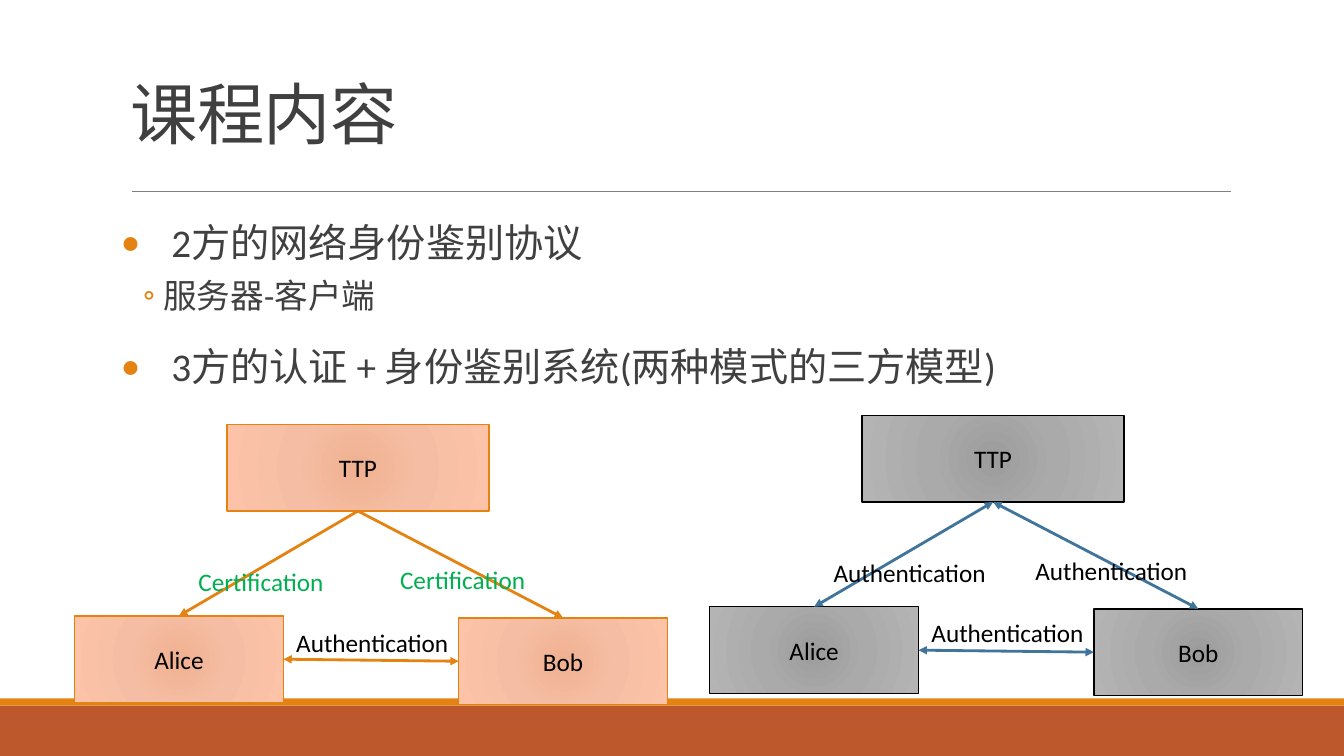
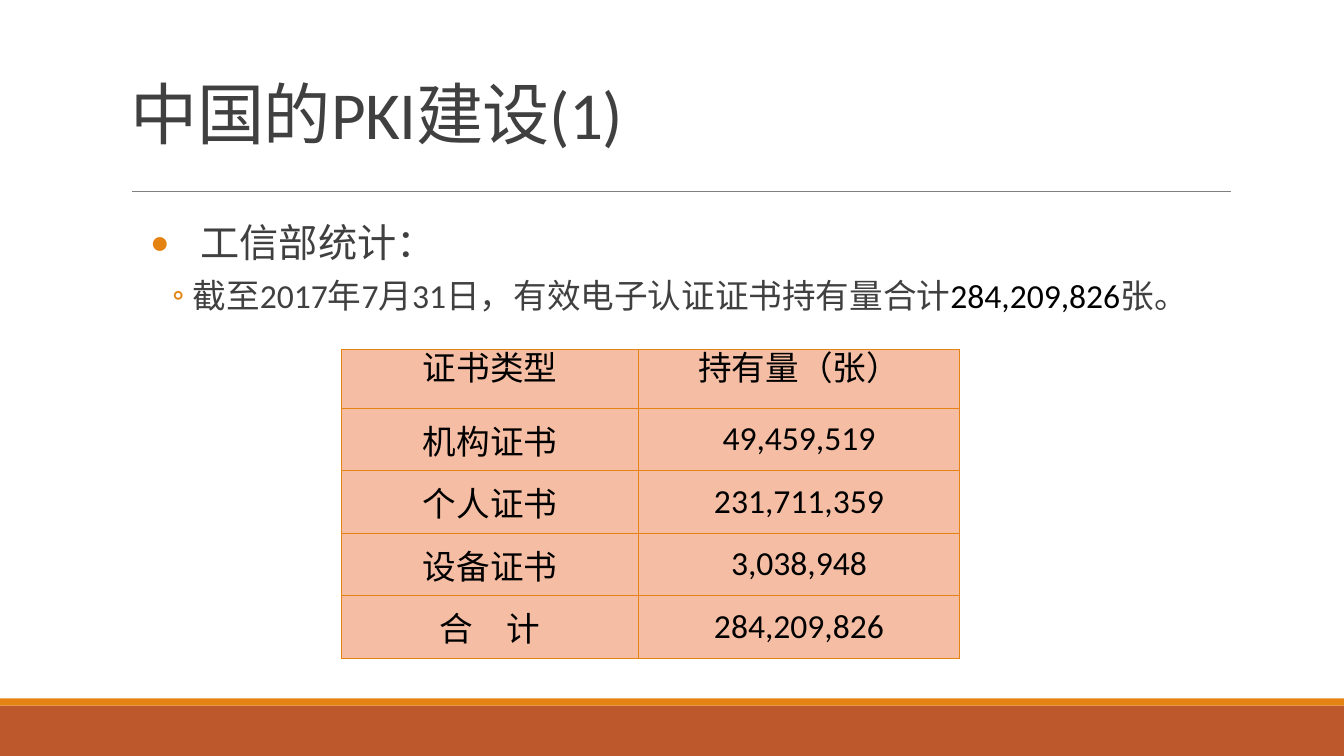
import lxml.etree
import pptx
import pptx.dml.color
import pptx.enum.shapes
import pptx.enum.text
import pptx.oxml.ns
import pptx.util

Inches = pptx.util.Inches
Pt = pptx.util.Pt
qn = pptx.oxml.ns.qn
RGB = pptx.dml.color.RGBColor.from_string
RECTANGLE = pptx.enum.shapes.MSO_SHAPE.RECTANGLE
STRAIGHT = pptx.enum.shapes.MSO_CONNECTOR.STRAIGHT
CENTER = pptx.enum.text.PP_ALIGN.CENTER
ANCHOR = pptx.enum.text.MSO_ANCHOR

COLORS = {
    "band": "BD582C", "accent": "E48312", "rule": "808080",
    "text": "404040", "black": "000000", "green": "00B050",
    "blue": "40749B", "cell": "F5BEA4",
}
BULLETS = [
    {"char": "•", "margin": 0.5, "indent": -0.5, "size": 28, "before": 12, "after": 2},
    {"char": "◦", "margin": 0.42, "indent": -0.2, "size": 24, "before": 2, "after": 4},
]


def add_xml(parent, tag, **attributes):
    return lxml.etree.SubElement(parent, qn("a:" + tag), attributes)


def write(paragraph, text, size=18, color="black", align=None, spacing=None, tracking=None):
    run = paragraph.add_run()
    run.text = text
    run.font.name = "Calibri"
    run.font.size = Pt(size)
    run.font.color.rgb = RGB(COLORS[color])
    if tracking is not None:
        run.font._element.set("spc", str(int(tracking * 100)))
    if align is not None:
        paragraph.alignment = align
    if spacing is not None:
        paragraph.line_spacing = spacing


deck = pptx.Presentation()
deck.slide_width = Inches(13.33)
deck.slide_height = Inches(7.5)

contents = [
    ("课程内容", 1.2, 11, [
        (0, [("2方的网络身份鉴别协议", "text")]),
        (1, [("服务器-客户端", "text")]),
        (0, [("3方的认证 + 身份鉴别系统(两种模式的三方模型)", "text")]),
    ]),
    ("中国的PKI建设(1)", 1.49, 10.44, [
        (0, [("工信部统计：", "text")]),
        (1, [("截至2017年7月31日，有效电子认证证书持有量合计", "text"),
             ("284,209,826", "black"), ("张。", "text")]),
    ]),
]

slides = []
for title, body_left, body_width, points in contents:
    slide = deck.slides.add_slide(deck.slide_layouts[6])
    slides.append(slide)

    for top, height, color in [(7, 0.5, "band"), (6.93, 0.07, "accent")]:
        band = slide.shapes.add_shape(RECTANGLE, 0, Inches(top), deck.slide_width, Inches(height))
        band.shadow.inherit = False
        band.fill.solid()
        band.fill.fore_color.rgb = RGB(COLORS[color])
        band.line.fill.background()

    rule = slide.shapes.add_connector(STRAIGHT, Inches(1.31), Inches(1.9), Inches(12.21), Inches(1.9))
    rule.line.color.rgb = RGB(COLORS["rule"])
    rule.line.width = Pt(0.5)
    add_xml(rule.element.spPr, "effectLst")

    heading = slide.shapes.add_textbox(Inches(1.2), Inches(0.31), Inches(11), Inches(1.26)).text_frame
    heading.word_wrap = True
    heading.vertical_anchor = ANCHOR.BOTTOM
    write(heading.paragraphs[0], title, size=48, color="text", spacing=0.85, tracking=-0.5)

    body = slide.shapes.add_textbox(Inches(body_left), Inches(2.07), Inches(body_width), Inches(4.4)).text_frame
    body.word_wrap = True
    body.margin_left = body.margin_right = 0
    for index, (level, runs) in enumerate(points):
        point = body.add_paragraph() if index else body.paragraphs[0]
        bullet = BULLETS[level]
        point.level = level
        properties = point._p.get_or_add_pPr()
        properties.set("marL", str(Inches(bullet["margin"])))
        properties.set("indent", str(Inches(bullet["indent"])))
        add_xml(add_xml(properties, "buClr"), "srgbClr", val=COLORS["accent"])
        add_xml(properties, "buFont", typeface="Calibri")
        add_xml(properties, "buChar", char=bullet["char"])
        if index:
            point.space_before = Pt(bullet["before"])
        point.space_after = Pt(bullet["after"])
        for text, color in runs:
            write(point, text, size=bullet["size"], color=color, spacing=1.1)

course, pki = slides

models = [
    {"left": 0.74, "top": 4.21, "stops": ["F0B191", "F5BEA4", "FDC3A8"],
     "outline": "accent", "arrow": "accent", "mutual": False,
     "label": "Certification", "label_color": "green", "label_width": 1.46},
    {"left": 7.04, "top": 4.12, "stops": ["9C9C9C", "AAAAAA", "B4B4B4"],
     "outline": "black", "arrow": "blue", "mutual": True,
     "label": "Authentication", "label_color": "black", "label_width": 1.73},
]
for model in models:
    parties = {}
    for party, dx, dy, width in [("TTP", 1.51, 0, 2.6), ("Alice", 0, 1.9, 2.07), ("Bob", 3.81, 1.92, 2.07)]:
        box = course.shapes.add_shape(
            RECTANGLE, Inches(model["left"] + dx), Inches(model["top"] + dy), Inches(width), Inches(0.86))
        parties[party] = box
        box.shadow.inherit = False
        box.line.color.rgb = RGB(COLORS[model["outline"]])
        box.line.width = Pt(1)
        gradient = lxml.etree.Element(qn("a:gradFill"), rotWithShape="1")
        stops = add_xml(gradient, "gsLst")
        for position, color in zip([0, 45, 100], model["stops"]):
            add_xml(add_xml(stops, "gs", pos=str(position * 1000)), "srgbClr", val=color)
        add_xml(add_xml(gradient, "path", path="circle"), "fillToRect",
                l="100000", t="100000", r="100000", b="100000")
        box.element.spPr.find(qn("a:prstGeom")).addnext(gradient)
        box.text_frame.vertical_anchor = ANCHOR.MIDDLE
        write(box.text_frame.paragraphs[0], party, align=CENTER)

    for start, start_side, end, end_side, mutual in [
        ("TTP", 2, "Alice", 0, model["mutual"]),
        ("TTP", 2, "Bob", 0, model["mutual"]),
        ("Alice", 3, "Bob", 1, True),
    ]:
        arrow = course.shapes.add_connector(STRAIGHT, 0, 0, 0, 0)
        arrow.begin_connect(parties[start], start_side)
        arrow.end_connect(parties[end], end_side)
        arrow.line.color.rgb = RGB(COLORS[model["arrow"]])
        arrow.line.width = Pt(2)
        stroke = arrow.element.spPr.find(qn("a:ln"))
        if mutual:
            add_xml(stroke, "headEnd", type="triangle")
        add_xml(stroke, "tailEnd", type="triangle")
        add_xml(arrow.element.spPr, "effectLst")

    for text, color, dx, dy, width in [
        (model["label"], model["label_color"], 1.13, 1.36, model["label_width"]),
        (model["label"], model["label_color"], 3.13, 1.34, model["label_width"]),
        ("Authentication", "black", 2.1, 1.96, 1.73),
    ]:
        label = course.shapes.add_textbox(
            Inches(model["left"] + dx), Inches(model["top"] + dy), Inches(width), Inches(0.4)).text_frame
        label.word_wrap = False
        label.auto_size = pptx.enum.text.MSO_AUTO_SIZE.SHAPE_TO_FIT_TEXT
        write(label.paragraphs[0], text, color=color)

holdings = [
    ("证书类型", "持有量（张）"),
    ("机构证书", "49,459,519"),
    ("个人证书", "231,711,359"),
    ("设备证书", "3,038,948"),
    ("合　计", "284,209,826"),
]
certificates = pki.shapes.add_table(
    len(holdings), 2, Inches(3.39), Inches(3.47), Inches(6.13), Inches(3.06)).table
for column, width in zip(certificates.columns, [2.94, 3.19]):
    column.width = Inches(width)
for row_index, values in enumerate(holdings):
    is_header = row_index == 0
    certificates.rows[row_index].height = Inches(0.58 if is_header else 0.62)
    for column_index, value in enumerate(values):
        cell = certificates.cell(row_index, column_index)
        cell.vertical_anchor = ANCHOR.MIDDLE
        if is_header:
            cell.margin_left = cell.margin_right = Inches(0.05)
            cell.margin_top = cell.margin_bottom = 0
        for side in ["lnL", "lnR", "lnT", "lnB"]:
            border = add_xml(cell._tc.get_or_add_tcPr(), side, w=str(Pt(1)))
            add_xml(add_xml(border, "solidFill"), "srgbClr", val=COLORS["accent"])
        cell.fill.solid()
        cell.fill.fore_color.rgb = RGB(COLORS["cell"])
        write(cell.text_frame.paragraphs[0], value, size=24, align=CENTER,
              spacing=Pt(15.8) if is_header else None)

deck.save("out.pptx")
